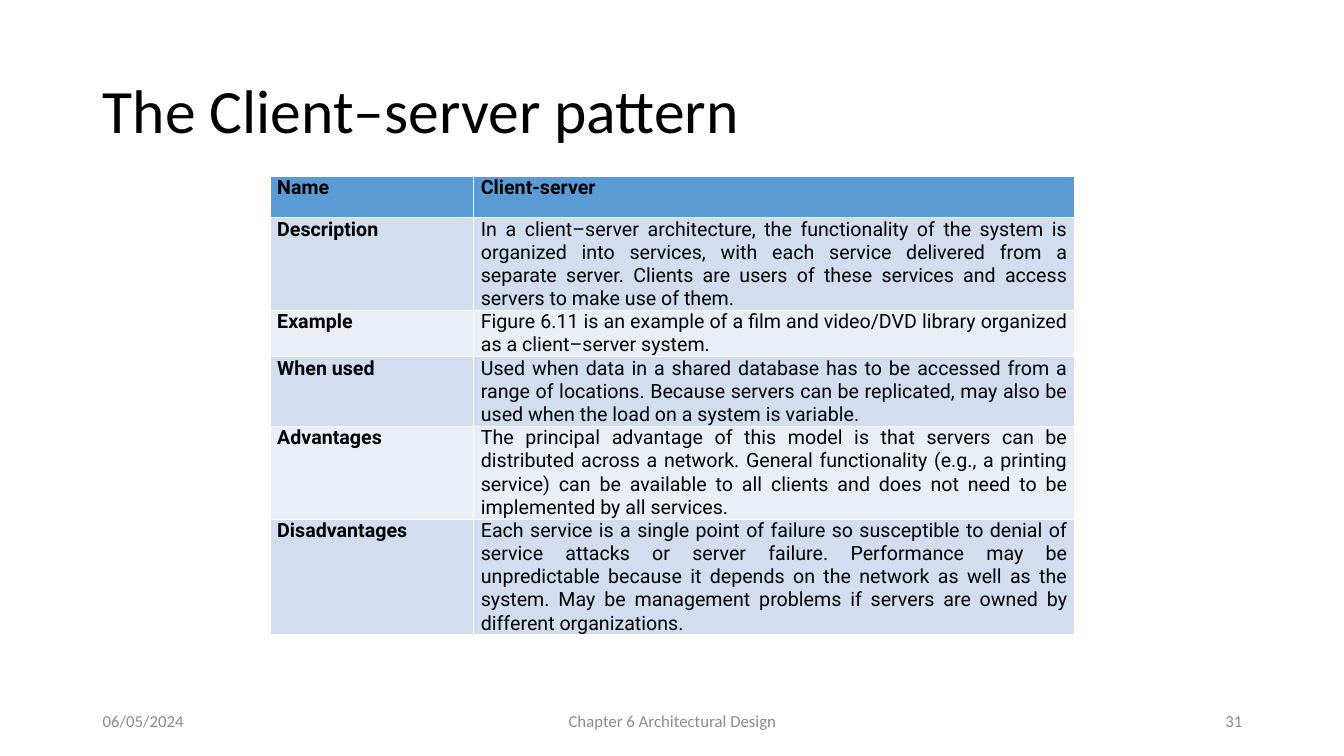
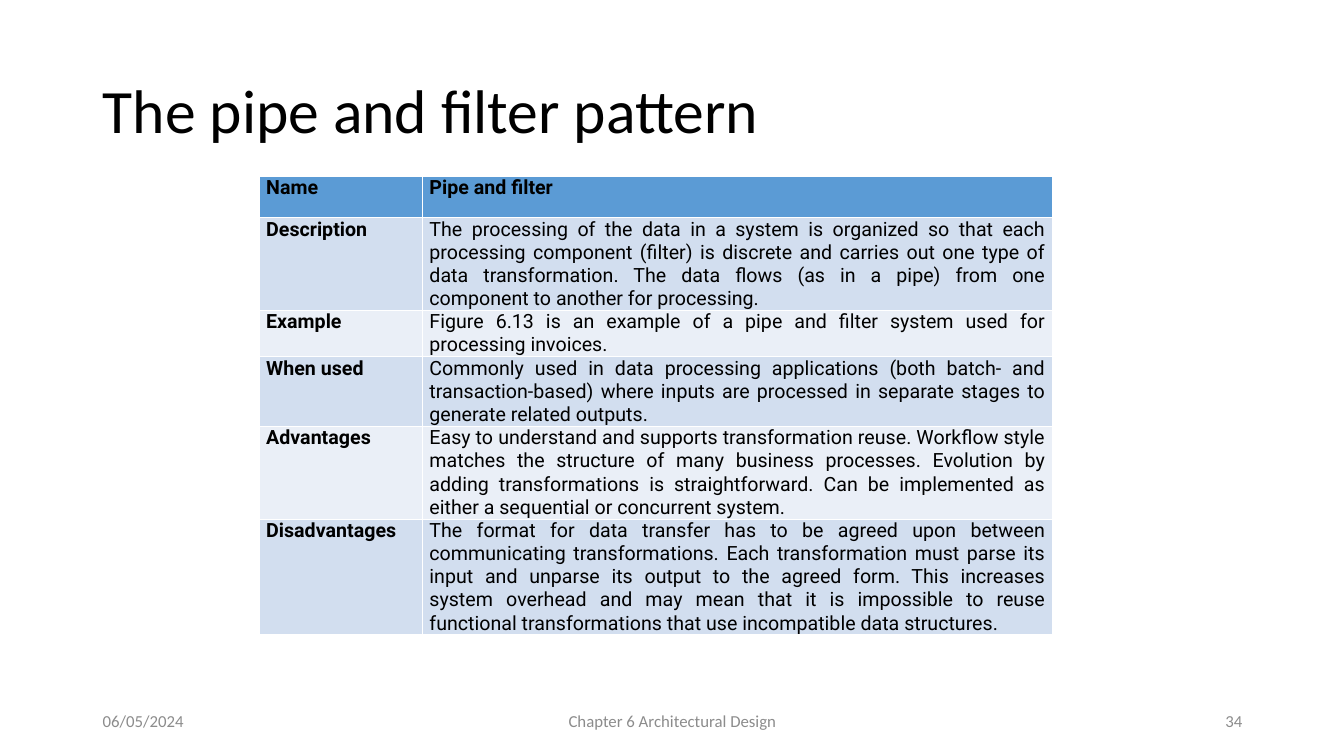
from dataclasses import dataclass

from pptx import Presentation
from pptx.dml.color import RGBColor
from pptx.enum.text import MSO_ANCHOR, PP_ALIGN
from pptx.presentation import Presentation as Deck
from pptx.slide import Slide
from pptx.table import _Cell as Cell
from pptx.text.text import TextFrame
from pptx.util import Inches, Pt

LEFT, CENTER, RIGHT = PP_ALIGN.LEFT, PP_ALIGN.CENTER, PP_ALIGN.RIGHT
JUSTIFY = PP_ALIGN.JUSTIFY
MIDDLE = MSO_ANCHOR.MIDDLE

BLACK = RGBColor(0x00, 0x00, 0x00)
GRAY = RGBColor(0x8C, 0x8C, 0x8C)
HEADER_BLUE = RGBColor(0x5B, 0x9B, 0xD5)
BAND_DARK = RGBColor(0xD2, 0xDE, 0xEF)
BAND_LIGHT = RGBColor(0xEA, 0xEF, 0xF7)

HEADING_FONT = "Calibri"
TABLE_FONT = "Roboto"
TITLE_ONLY_LAYOUT = 5

TABLE_TOP = 1.75
ROW_HEIGHT = 0.41  # rows grow with their text
CELL_INSET = 0.07

DATE = "06/05/2024"
CHAPTER = "Chapter 6 Architectural Design"
ROW_LABELS = ("Name", "Description", "Example", "When used", "Advantages", "Disadvantages")


@dataclass(frozen=True)
class Pattern:
    title: str
    page_number: int
    table_left: float
    column_widths: tuple[float, float]
    entries: tuple[str, ...]  # one for each row label


@dataclass(frozen=True)
class FooterPart:
    text: str
    left: float
    width: float
    align: PP_ALIGN


PATTERNS = (
    Pattern(
        "The Client–server pattern", 31, 2.68, (2.02, 5.96),
        (
            "Client-server",
            "In a client–server architecture, the functionality of the system is organized "
            "into services, with each service delivered from a separate server. Clients are "
            "users of these services and access servers to make use of them.",
            "Figure 6.11 is an example of a film and video/DVD library organized as a "
            "client–server system.",
            "Used when data in a shared database has to be accessed from a range of "
            "locations. Because servers can be replicated, may also be used when the load "
            "on a system is variable.",
            "The principal advantage of this model is that servers can be distributed across "
            "a network. General functionality (e.g., a printing service) can be available to "
            "all clients and does not need to be implemented by all services.",
            "Each service is a single point of failure so susceptible to denial of service "
            "attacks or server failure. Performance may be unpredictable because it depends "
            "on the network as well as the system. May be management problems if servers "
            "are owned by different organizations.",
        ),
    ),
    Pattern(
        "The pipe and filter pattern", 34, 2.57, (1.62, 6.25),
        (
            "Pipe and filter",
            "The processing of the data in a system is organized so that each processing "
            "component (filter) is discrete and carries out one type of data transformation. "
            "The data flows (as in a pipe) from one component to another for processing.",
            "Figure 6.13 is an example of a pipe and filter system used for processing "
            "invoices.",
            "Commonly used in data processing applications (both batch- and "
            "transaction-based) where inputs are processed in separate stages to generate "
            "related outputs.",
            "Easy to understand and supports transformation reuse. Workflow style matches "
            "the structure of many business processes. Evolution by adding transformations "
            "is straightforward. Can be implemented as either a sequential or concurrent "
            "system.",
            "The format for data transfer has to be agreed upon between communicating "
            "transformations. Each transformation must parse its input and unparse its "
            "output to the agreed form. This increases system overhead and may mean that "
            "it is impossible to reuse functional transformations that use incompatible "
            "data structures.",
        ),
    ),
)


def write(frame: TextFrame, text: str, font_name: str, size: float, color: RGBColor,
          align: PP_ALIGN, bold: bool = False) -> None:
    """Fill a text frame with one formatted paragraph."""
    frame.text = text
    para = frame.paragraphs[0]
    para.alignment = align
    font = para.runs[0].font
    font.name = font_name
    font.size = Pt(size)
    font.bold = bold
    font.color.rgb = color


def add_title(page: Slide, text: str) -> None:
    title = page.shapes.title
    title.left, title.top = Inches(0.92), Inches(0.4)
    title.width, title.height = Inches(11.5), Inches(1.45)
    frame = title.text_frame
    frame.vertical_anchor = MIDDLE
    write(frame, text, HEADING_FONT, 44, BLACK, LEFT)
    frame.paragraphs[0].line_spacing = 0.9


def format_cell(cell: Cell, text: str, fill: RGBColor, bold: bool) -> None:
    cell.margin_left = cell.margin_right = Inches(CELL_INSET)
    cell.margin_top = cell.margin_bottom = 0
    cell.fill.solid()
    cell.fill.fore_color.rgb = fill
    write(cell.text_frame, text, TABLE_FONT, 14, BLACK, JUSTIFY, bold)


def add_pattern_table(page: Slide, pattern: Pattern) -> None:
    row_count = len(ROW_LABELS)
    table = page.shapes.add_table(
        row_count, 2, Inches(pattern.table_left), Inches(TABLE_TOP),
        Inches(sum(pattern.column_widths)), Inches(row_count * ROW_HEIGHT),
    ).table
    for column, width in zip(table.columns, pattern.column_widths):
        column.width = Inches(width)

    for index, (label, entry) in enumerate(zip(ROW_LABELS, pattern.entries)):
        is_header = index == 0
        band = BAND_DARK if index % 2 else BAND_LIGHT
        fill = HEADER_BLUE if is_header else band
        format_cell(table.cell(index, 0), label, fill, bold=True)
        format_cell(table.cell(index, 1), entry, fill, bold=is_header)


def add_footer(page: Slide, page_number: int) -> None:
    parts = (
        FooterPart(DATE, 0.92, 3, LEFT),
        FooterPart(CHAPTER, 4.42, 4.5, CENTER),
        FooterPart(str(page_number), 9.42, 3, RIGHT),
    )
    for part in parts:
        box = page.shapes.add_textbox(
            Inches(part.left), Inches(6.95), Inches(part.width), Inches(0.4))
        frame = box.text_frame
        frame.word_wrap = True
        frame.vertical_anchor = MIDDLE
        write(frame, part.text, HEADING_FONT, 12, GRAY, part.align)


def add_pattern_slide(deck: Deck, pattern: Pattern) -> None:
    page = deck.slides.add_slide(deck.slide_layouts[TITLE_ONLY_LAYOUT])
    add_title(page, pattern.title)
    add_pattern_table(page, pattern)
    add_footer(page, pattern.page_number)


def main() -> None:
    deck = Presentation()
    deck.slide_width, deck.slide_height = Inches(13.33), Inches(7.5)
    for pattern in PATTERNS:
        add_pattern_slide(deck, pattern)
    deck.save("out.pptx")


if __name__ == "__main__":
    main()
